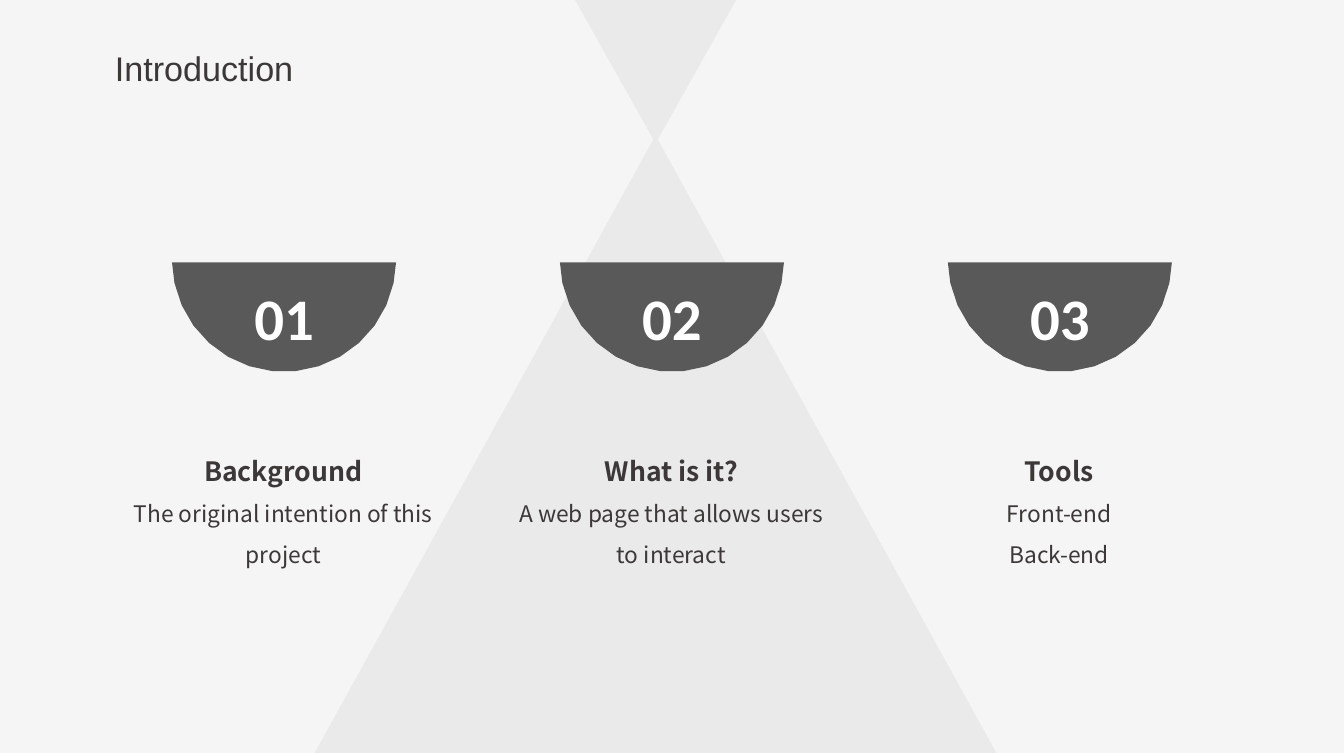
"""Build the Introduction slide: three numbered bowls over a pale hourglass."""
import math

import pptx
import pptx.dml.color
import pptx.enum.shapes
import pptx.enum.text
import pptx.util

Inches, Pt = pptx.util.Inches, pptx.util.Pt
RGBColor = pptx.dml.color.RGBColor
Anchor = pptx.enum.text.MSO_ANCHOR
PAPER = RGBColor(0xF5, 0xF5, 0xF5)
PALE = RGBColor(0xEA, 0xEA, 0xEA)
SLATE = RGBColor(0x59, 0x59, 0x59)
INK = RGBColor(0x3B, 0x38, 0x37)
WHITE = RGBColor(0xFF, 0xFF, 0xFF)
WIDE, HIGH = 9.84, 5.51
FIRST, STEP = 2.08, 2.84
RADIUS, RIM, HUB = 0.82, 1.92, 1.9
WAIST = 1.02
NUMBER = dict(name="Calibri", size=Pt(31), bold=True)
HEAD = dict(name="Noto Sans CJK SC", size=Pt(14), bold=True)
BODY = dict(name="Noto Sans CJK SC", size=Pt(12), bold=False)
TITLE = dict(name="Arial", size=Pt(18))
TOPICS = [
    ("Background", "The original intention of this project"),
    ("What is it?", "A web page that allows users to interact"),
    ("Tools", "Front-end", "Back-end"),
]


def write(shape, lines, color, anchor=Anchor.MIDDLE, space=None):
    """Fill a shape with centred lines, each a pair of text and format."""
    frame = shape.text_frame
    setup = dict(word_wrap=True, vertical_anchor=anchor,
                 margin_left=Inches(0.07), margin_right=Inches(0.07),
                 margin_top=Inches(0.04), margin_bottom=Inches(0.04))
    for key, value in setup.items():
        setattr(frame, key, value)
    for row, (text, style) in enumerate(lines):
        para = frame.add_paragraph() if row else frame.paragraphs[0]
        para.alignment = pptx.enum.text.PP_ALIGN.CENTER
        para.line_spacing = space
        run = para.add_run()
        run.text = text
        for key, value in style.items():
            setattr(run.font, key, value)
        run.font.color.rgb = color


deck = pptx.Presentation()
deck.slide_width, deck.slide_height = Inches(WIDE), Inches(HIGH)
slide = deck.slides.add_slide(deck.slide_layouts[6])
slide.background.fill.solid()
slide.background.fill.fore_color.rgb = PAPER
shapes = slide.shapes

for top, height, turn in [(WAIST, HIGH - WAIST, 0), (WAIST - 4.41, 4.41, 180)]:
    cone = shapes.add_shape(
        pptx.enum.shapes.MSO_SHAPE.ISOSCELES_TRIANGLE,
        Inches(2.32), Inches(top), Inches(4.96), Inches(height))
    cone.rotation = turn
    cone.shadow.inherit = False
    cone.fill.solid()
    cone.fill.fore_color.rgb = PALE
    cone.line.color.rgb = PALE
    cone.line.width = Pt(2)

for col, (head, *body) in enumerate(TOPICS):
    mid = FIRST + col * STEP
    arc = [(Inches(mid + RADIUS * math.cos(math.radians(deg))),
            Inches(HUB + RADIUS * math.sin(math.radians(deg))))
           for deg in range(12, 169, 12)]
    pen = shapes.build_freeform(Inches(mid - RADIUS), Inches(RIM))
    pen.add_line_segments([(Inches(mid + RADIUS), Inches(RIM))] + arc)
    bowl = pen.convert_to_shape()
    bowl.shadow.inherit = False
    bowl.fill.solid()
    bowl.fill.fore_color.rgb = SLATE
    bowl.line.fill.background()
    write(bowl, [(f"{col + 1:02}", NUMBER)], WHITE)
    box = shapes.add_textbox(
        Inches(mid - 1.23), Inches(2.99), Inches(2.45), Inches(1.39))
    write(box, [(head, HEAD)] + [(text, BODY) for text in body], INK, space=1.5)

title = shapes.add_textbox(
    Inches(0.43), Inches(0.31), Inches(2.13), Inches(0.38))
write(title, [("Introduction", TITLE)], INK, Anchor.TOP)

deck.save("out.pptx")
